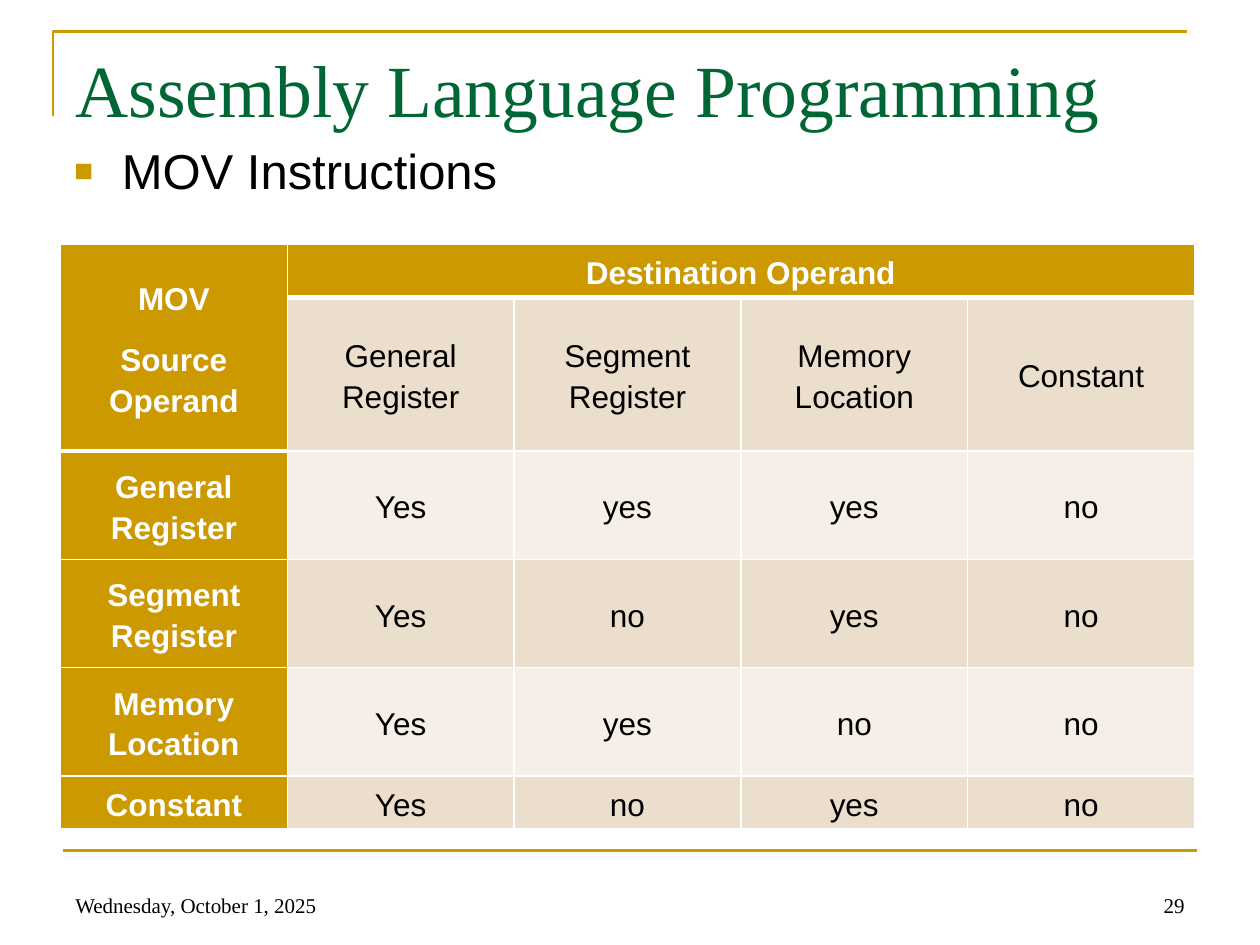
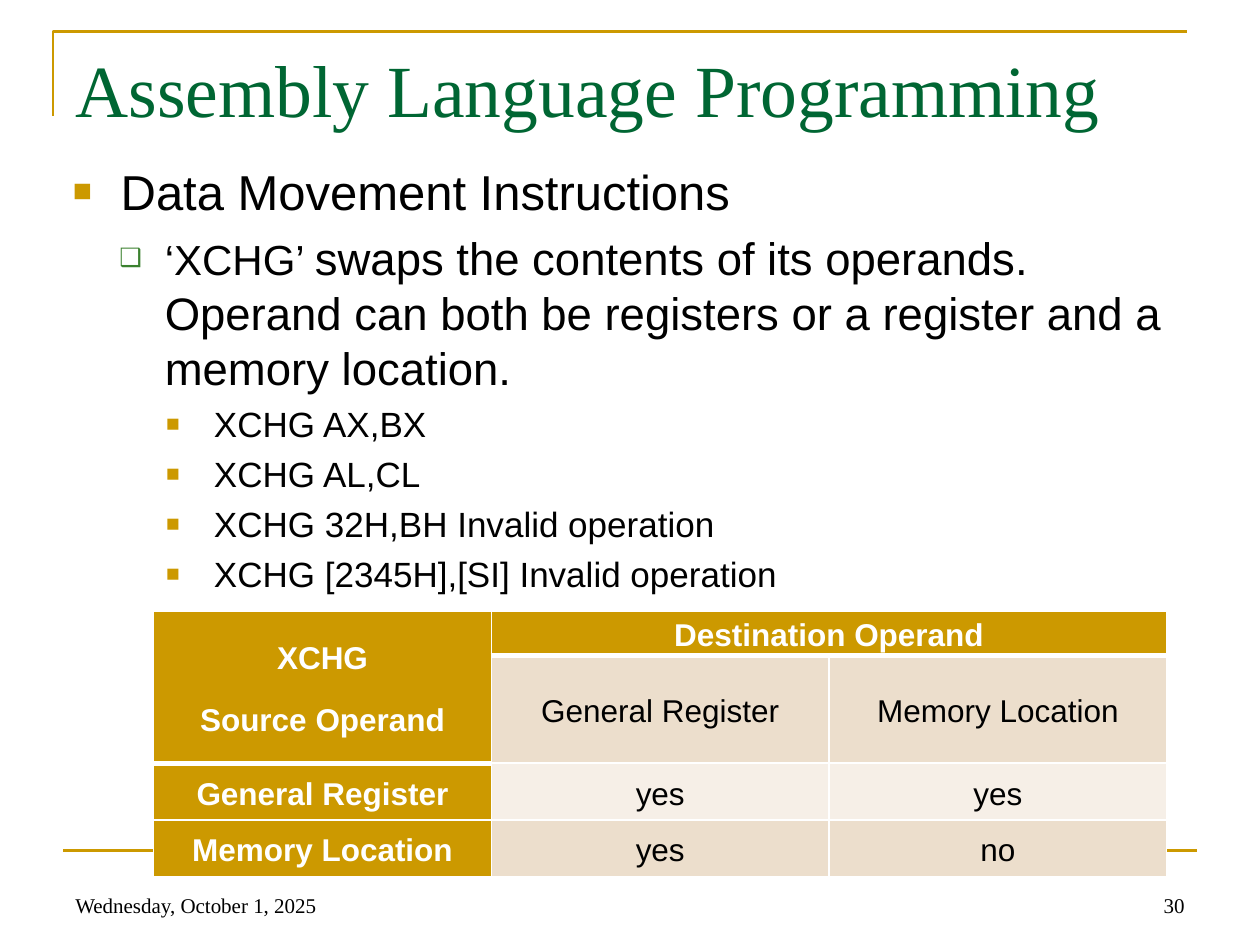
import pptx
import pptx.dml.color
import pptx.enum.shapes
import pptx.enum.text
import pptx.oxml.ns
import pptx.util
from lxml import etree

Inches = pptx.util.Inches
Pt = pptx.util.Pt
ALIGN = pptx.enum.text.PP_ALIGN
ANCHOR = pptx.enum.text.MSO_ANCHOR

GOLD, GREEN, BULLET_GREEN = "CC9900", "006633", "3B812F"
BLACK, WHITE = "000000", "FFFFFF"
BANDS = ["ECDECC", "F6EFE7"]
SANS, SERIF = "Arial", "Times New Roman"

TITLE = {"name": SERIF, "size": Pt(42), "color": GREEN}
FOOTER = {"name": SERIF, "size": Pt(12), "color": BLACK}
HEADER_CELL = {"name": SANS, "size": Pt(18), "color": WHITE, "bold": True}
VALUE_CELL = {"name": SANS, "size": Pt(18), "color": BLACK, "bold": False}
LEVELS = [
    {"indent": 0.38, "hanging": 0.38, "bullet": "■", "color": GOLD, "percent": 65},
    {"indent": 0.73, "hanging": 0.36, "bullet": "❑", "color": BULLET_GREEN, "percent": 60},
    {"indent": 1.12, "hanging": 0.38, "bullet": "■", "color": GOLD, "percent": 65},
]


def color(value):
    return pptx.dml.color.RGBColor.from_string(value)


def apply_format(target, values):
    for name, value in values.items():
        if name == "color":
            target.color.rgb = color(value)
        else:
            setattr(target, name, value)


def add_element(parent, tag, **attributes):
    element = etree.SubElement(parent, pptx.oxml.ns.qn(tag))
    for name, value in attributes.items():
        element.set(name, str(value))
    return element


def add_text_box(slide, left, top, width, height, anchor=ANCHOR.TOP):
    shape = slide.shapes.add_textbox(Inches(left), Inches(top), Inches(width), Inches(height))
    apply_format(shape.text_frame, {"word_wrap": True, "vertical_anchor": anchor})
    return shape.text_frame


def add_run(paragraph, text, font):
    run = paragraph.add_run()
    run.text = text
    apply_format(run.font, font)


def add_label(slide, text, place, font, alignment=ALIGN.LEFT, anchor=ANCHOR.TOP):
    paragraph = add_text_box(slide, *place, anchor).paragraphs[0]
    paragraph.alignment = alignment
    add_run(paragraph, text, font)


def add_frame_lines(slide):
    builder = slide.shapes.build_freeform(Inches(0.42), Inches(0.92))
    builder.add_line_segments(
        [(Inches(0.42), Inches(0.25)), (Inches(9.42), Inches(0.25))], close=False)
    corner = builder.convert_to_shape()
    corner.shadow.inherit = False
    corner.fill.background()
    rule = slide.shapes.add_connector(
        pptx.enum.shapes.MSO_CONNECTOR.STRAIGHT,
        Inches(0.5), Inches(6.75), Inches(9.5), Inches(6.75))
    for shape in (corner, rule):
        apply_format(shape.line, {"color": GOLD, "width": Pt(1.5)})
    add_element(rule._element.spPr, "a:effectLst")


def add_base_slide(presentation, number):
    slide = presentation.slides.add_slide(presentation.slide_layouts[6])
    add_frame_lines(slide)
    add_label(slide, "Assembly Language Programming", (0.5, 0.3, 9, 1.25), TITLE)
    add_label(slide, str(number), (7.17, 6.83, 2.33, 0.5), FOOTER, ALIGN.RIGHT, ANCHOR.BOTTOM)
    add_label(slide, "Wednesday, October 1, 2025", (0.5, 6.83, 2.33, 0.5), FOOTER,
              anchor=ANCHOR.BOTTOM)
    return slide


def add_bullet(paragraph, level):
    style = LEVELS[level]
    properties = paragraph._p.get_or_add_pPr()
    properties.set("marL", str(Inches(style["indent"])))
    properties.set("indent", str(-Inches(style["hanging"])))
    bullet_color = add_element(properties, "a:buClr")
    add_element(bullet_color, "a:srgbClr", val=style["color"])
    add_element(properties, "a:buSzPct", val=style["percent"] * 1000)
    add_element(properties, "a:buFont", typeface=SANS)
    add_element(properties, "a:buChar", char=style["bullet"])
    paragraph.level = level


def add_outline(slide, left, top, items):
    frame = add_text_box(slide, left, top, 9, 5.37)
    for index, (level, runs) in enumerate(items):
        paragraph = frame.add_paragraph() if index else frame.paragraphs[0]
        add_bullet(paragraph, level)
        if index:
            paragraph.space_before = Pt(round(runs[-1][1] * 0.23, 1))
        for text, size in runs:
            add_run(paragraph, text, {"name": SANS, "size": Pt(size), "color": BLACK})


def add_borders(cell, top, bottom):
    properties = cell._tc.get_or_add_tcPr()
    for tag, width in (("a:lnL", 1), ("a:lnR", 1), ("a:lnT", top), ("a:lnB", bottom)):
        line = add_element(properties, tag, w=Pt(width))
        fill = add_element(line, "a:solidFill")
        add_element(fill, "a:srgbClr", val=WHITE)


def fill_cell(cell, lines, font, fill):
    apply_format(cell, {
        "vertical_anchor": ANCHOR.MIDDLE,
        "margin_left": Inches(0.07), "margin_right": Inches(0.07),
        "margin_top": 0, "margin_bottom": 0})
    cell.fill.solid()
    cell.fill.fore_color.rgb = color(fill)
    for index, text in enumerate(lines):
        paragraph = cell.text_frame.add_paragraph() if index else cell.text_frame.paragraphs[0]
        apply_format(paragraph, {
            "alignment": ALIGN.CENTER, "line_spacing": 1.15,
            "space_before": Pt(6 if index else 0), "space_after": Pt(6)})
        add_run(paragraph, text, font)


def add_operand_table(slide, left, top, column_width, heights, instruction, destinations, sources):
    rows = [[(instruction, "Source Operand"), ("Destination Operand",)],
            [()] + [(name,) for name in destinations]]
    rows += [[(name,)] + [(value,) for value in values.split()] for name, values in sources]
    column_count = len(destinations) + 1
    table = slide.shapes.add_table(
        len(rows), column_count, Inches(left), Inches(top),
        Inches(column_width * column_count), Inches(sum(heights))).table
    for column in table.columns:
        column.width = Inches(column_width)
    for row, height in zip(table.rows, heights):
        row.height = Inches(height)
    for row_index, row in enumerate(rows):
        row += [()] * (column_count - len(row))
        for column_index, lines in enumerate(row):
            cell = table.cell(row_index, column_index)
            header_end = 0 if column_index else 1
            add_borders(cell,
                        top=3 if row_index == header_end + 1 else 1,
                        bottom=3 if row_index <= header_end else 1)
            is_header = row_index == 0 or column_index == 0
            fill_cell(cell, lines, HEADER_CELL if is_header else VALUE_CELL,
                      GOLD if is_header else BANDS[(row_index + 1) % 2])
    table.cell(0, 0).merge(table.cell(1, 0))
    table.cell(0, 1).merge(table.cell(0, column_count - 1))


def add_mov_slide(presentation):
    slide = add_base_slide(presentation, 29)
    add_outline(slide, 0.49, 1.07, [(0, [("MOV Instructions", 28)])])
    operands = ["General Register", "Segment Register", "Memory Location", "Constant"]
    answers = ["Yes yes yes no", "Yes no yes no", "Yes yes no no", "Yes no yes no"]
    add_operand_table(slide, 0.48, 1.94, 1.8, [0.42, 1.22, 0.86, 0.86, 0.86, 0.42],
                      "MOV", operands, zip(operands, answers))


def add_xchg_slide(presentation):
    slide = add_base_slide(presentation, 30)
    examples = ["XCHG AX,BX", "XCHG AL,CL", "XCHG 32H,BH Invalid operation",
                "XCHG [2345H],[SI] Invalid operation"]
    add_outline(slide, 0.48, 1.23, [
        (0, [("Data Movement Instructions", 28)]),
        (1, [("‘XCHG’ ", 24),
             ("swaps the contents of its operands. Operand can both be registers "
              "or a register and a memory location.", 26)]),
    ] + [(2, [(example, 20)]) for example in examples])
    operands = ["General Register", "Memory Location"]
    add_operand_table(slide, 1.22, 4.85, 2.68, [0.35, 0.63, 0.45, 0.45],
                      "XCHG", operands, zip(operands, ["yes yes", "yes no"]))


def main():
    presentation = pptx.Presentation()
    presentation.slide_width = Inches(10)
    presentation.slide_height = Inches(7.5)
    add_mov_slide(presentation)
    add_xchg_slide(presentation)
    presentation.save("out.pptx")


if __name__ == "__main__":
    main()
